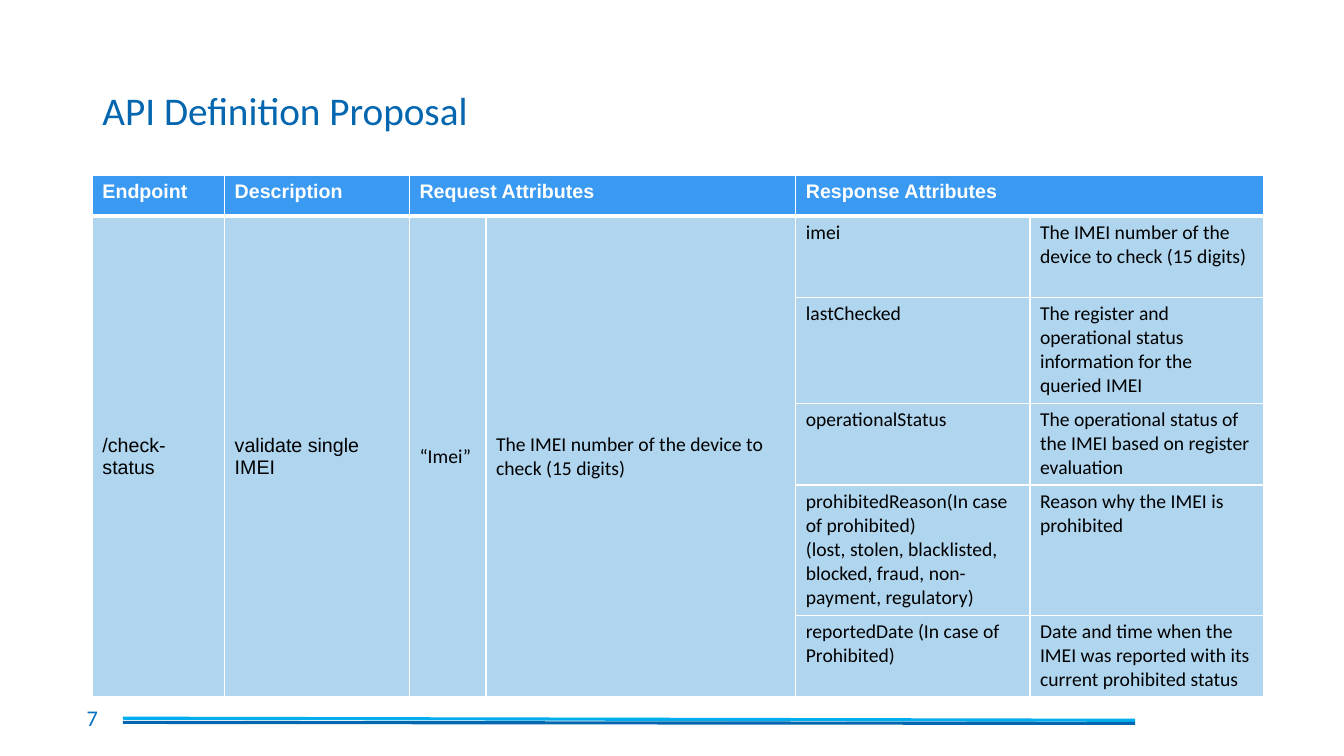
"""Build the API definition proposal slide with its endpoint table."""
from dataclasses import dataclass

from lxml import etree
from pptx import Presentation
from pptx.dml.color import RGBColor
from pptx.enum.shapes import MSO_CONNECTOR
from pptx.enum.text import MSO_ANCHOR, PP_ALIGN
from pptx.oxml.ns import qn
from pptx.util import Emu, Pt

STRAIGHT = MSO_CONNECTOR.STRAIGHT
TOP, MIDDLE = MSO_ANCHOR.TOP, MSO_ANCHOR.MIDDLE
LEFT = PP_ALIGN.LEFT
EMU_PER_PX = 9525

COLORS = {
    "title": "0466AF",
    "page": "0070C0",
    "light rule": "00ADED",
    "dark rule": "0466AF",
    "header": "3A9AF2",
    "body": "AFD5EF",
    "white": "FFFFFF",
    "black": "000000",
}
COLUMN_WIDTHS = [126, 176, 73, 295, 223, 223]
ROW_HEIGHTS = [39, 77, 101, 78, 124, 78]


@dataclass(frozen=True)
class Rule:
    color: str
    start_y: int
    end_y: int


@dataclass(frozen=True)
class Entry:
    row: int
    column: int
    text: str
    font: str = "Calibri"
    rows: int = 1
    columns: int = 1


FOOTER_RULES = [Rule("light rule", 684, 686), Rule("dark rule", 688, 689)]
HEADINGS = [
    Entry(0, 0, "Endpoint", "Arial"),
    Entry(0, 1, "Description", "Arial"),
    Entry(0, 2, "Request Attributes", "Arial", columns=2),
    Entry(0, 4, "Response Attributes", "Arial", columns=2),
]
REQUEST = [
    Entry(1, 0, "/check-status", "Arial", rows=5),
    Entry(1, 1, "validate single IMEI", "Arial", rows=5),
    Entry(1, 2, "“Imei”", rows=5),
    Entry(1, 3, "The IMEI number of the device to check (15 digits)", rows=5),
]
RESPONSE_ATTRIBUTES = [
    ("imei", "The IMEI number of the device to check (15 digits)"),
    ("lastChecked",
     "The register and operational status information for the queried IMEI"),
    ("operationalStatus",
     "The operational status of the IMEI based on register evaluation"),
    ("prohibitedReason(In case of prohibited)\v"
     "(lost, stolen, blacklisted, blocked, fraud, non-payment, regulatory)",
     "Reason why the IMEI is prohibited"),
    ("reportedDate (In case of Prohibited)",
     "Date and time when the IMEI was reported with its current prohibited status"),
]
RESPONSE = [
    Entry(row, column, text)
    for row, pair in enumerate(RESPONSE_ATTRIBUTES, start=1)
    for column, text in enumerate(pair, start=4)
]


def px(length: int) -> Emu:
    return Emu(length * EMU_PER_PX)


def rgb(name: str) -> RGBColor:
    return RGBColor.from_string(COLORS[name])


def format_text(frame, font: str, size: int, color: str, bold: bool = False) -> None:
    for paragraph in frame.paragraphs:
        paragraph.alignment = LEFT
        paragraph.font.name = font
        paragraph.font.size = Pt(size)
        paragraph.font.bold = bold
        paragraph.font.color.rgb = rgb(color)


def draw_rule(slide, rule: Rule) -> None:
    connector = slide.shapes.add_connector(
        STRAIGHT, px(117), px(rule.start_y), px(1081), px(rule.end_y))
    connector.line.color.rgb = rgb(rule.color)
    connector.line.width = Pt(2.25)
    etree.SubElement(connector._element.spPr, qn("a:effectLst"))


def draw_title(slide) -> None:
    title = slide.shapes.title
    title.left, title.top, title.width, title.height = px(88), px(38), px(1104), px(139)
    title.text_frame.text = "API Definition Proposal"
    title.text_frame.vertical_anchor = MIDDLE
    title.text_frame.paragraphs[0].line_spacing = 0.9
    format_text(title.text_frame, "Calibri", 28, "title")


def draw_page_number(slide) -> None:
    page = slide.shapes.add_textbox(px(73), px(664), px(288), px(38)).text_frame
    page.word_wrap = True
    page.vertical_anchor = MIDDLE
    page.text = "7"
    format_text(page, "Calibri", 16, "page")


def style_cell(cell, row: int) -> None:
    cell.fill.solid()
    cell.fill.fore_color.rgb = rgb("body" if row else "header")
    widths = {"lnL": 1, "lnR": 1, "lnT": 3 if row == 1 else 1, "lnB": 1 if row else 3}
    properties = cell._tc.get_or_add_tcPr()
    for position, (side, points) in enumerate(widths.items()):
        border = etree.Element(qn(f"a:{side}"), w=str(Pt(points)))
        fill = etree.SubElement(border, qn("a:solidFill"))
        etree.SubElement(fill, qn("a:srgbClr"), val=COLORS["white"])
        properties.insert(position, border)


def write_entry(table, entry: Entry) -> None:
    cell = table.cell(entry.row, entry.column)
    if entry.rows > 1 or entry.columns > 1:
        cell.merge(table.cell(entry.row + entry.rows - 1,
                              entry.column + entry.columns - 1))
    cell.text = entry.text
    cell.vertical_anchor = MIDDLE if entry.rows > 1 else TOP
    is_heading = entry.row == 0
    format_text(cell.text_frame, entry.font, 14,
                "white" if is_heading else "black", is_heading)


def draw_endpoint_table(slide) -> None:
    table = slide.shapes.add_table(
        len(ROW_HEIGHTS), len(COLUMN_WIDTHS), px(88), px(167),
        px(sum(COLUMN_WIDTHS)), px(sum(ROW_HEIGHTS))).table
    table.horz_banding = False
    for column, width in zip(table.columns, COLUMN_WIDTHS):
        column.width = px(width)
    for index, (row, height) in enumerate(zip(table.rows, ROW_HEIGHTS)):
        row.height = px(height)
        for cell in row.cells:
            style_cell(cell, index)
            format_text(cell.text_frame, "Calibri", 14, "black")
    for entry in HEADINGS + REQUEST + RESPONSE:
        write_entry(table, entry)


def main() -> None:
    presentation = Presentation()
    presentation.slide_width, presentation.slide_height = px(1280), px(720)
    slide = presentation.slides.add_slide(presentation.slide_layouts[5])
    for rule in FOOTER_RULES:
        draw_rule(slide, rule)
    draw_title(slide)
    draw_page_number(slide)
    draw_endpoint_table(slide)
    presentation.save("out.pptx")


if __name__ == "__main__":
    main()
